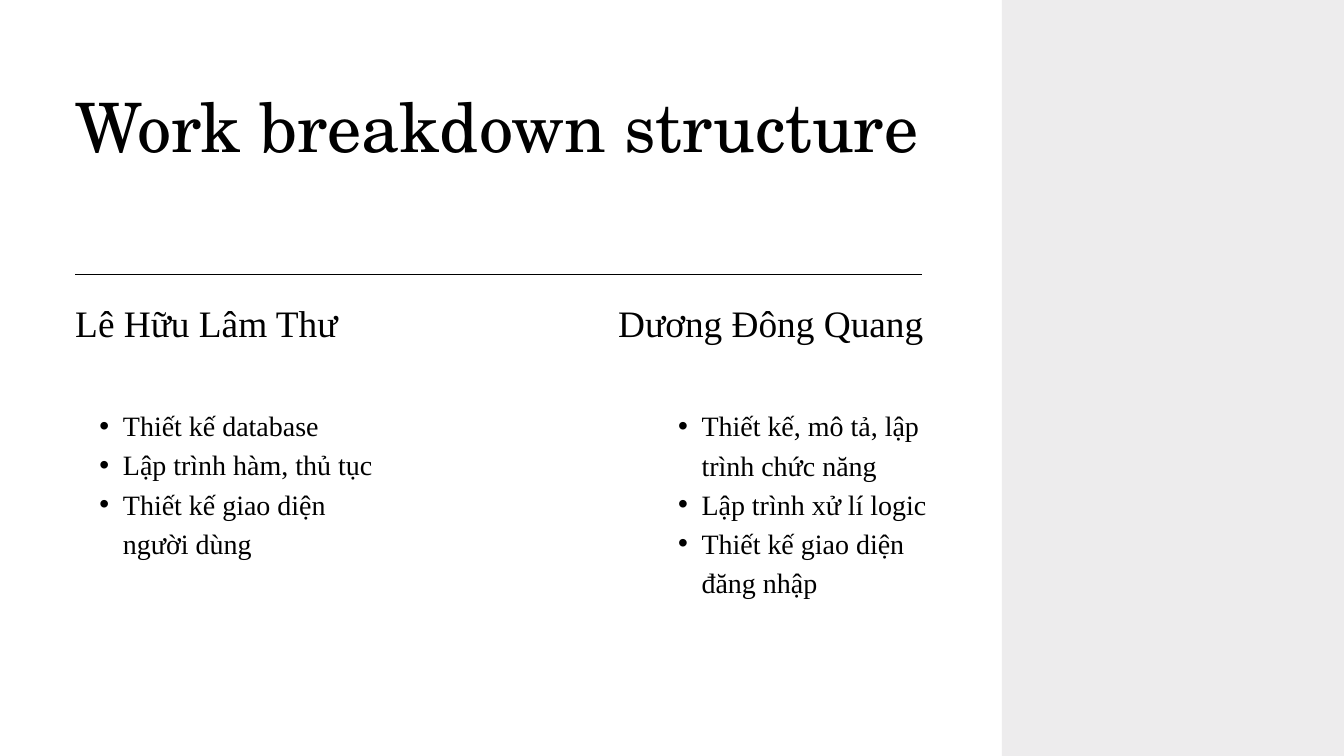
"""Build the work breakdown structure slide."""
from lxml.etree import SubElement
from pptx import Presentation
from pptx.dml.color import RGBColor
from pptx.enum.shapes import MSO_CONNECTOR as Connector, MSO_SHAPE as Shape
from pptx.enum.text import MSO_AUTO_SIZE as AutoSize
from pptx.oxml.ns import qn
from pptx.util import Inches, Pt

TITLE = "Work breakdown structure"
MEMBERS = [
    {
        "name": "Lê Hữu Lâm Thư",
        "name_box": (1.12, 4.63),
        "tasks_left": 1.12,
        "tasks_height": 2.34,
        "tasks": ["Thiết kế database", "Lập trình hàm, thủ tục", "Thiết kế giao diện người dùng"],
    },
    {
        "name": "Dương Đông Quang",
        "name_box": (9.2, 5.17),
        "tasks_left": 9.73,
        "tasks_height": 2.92,
        "tasks": [
            "Thiết kế, mô tả, lập trình chức năng",
            "Lập trình xử lí logic",
            "Thiết kế giao diện đăng nhập",
        ],
    },
]
COLORS = {"background": "FFFFFF", "text": "000000", "panel": "EDECED"}
TITLE_FONT, BODY_FONT = "TeX Gyre Schola", "Times New Roman"
SLIDE_WIDTH, SLIDE_HEIGHT = 20, 11.25
MARGIN, CONTENT_WIDTH, PANEL_WIDTH = 1.12, 12.6, 5.09
RULE_TOP, NAME_TOP, TASKS_TOP, TASKS_WIDTH = 4.09, 4.47, 6, 4.63


def color(name):
    return RGBColor.from_string(COLORS[name])


def add_bullet(para):
    para.level = 1
    properties = para._p.get_or_add_pPr()
    properties.set("marL", str(Inches(0.71)))
    properties.set("indent", str(Inches(-0.35)))
    SubElement(properties, qn("a:buFont"), typeface="Arial")
    SubElement(properties, qn("a:buChar"), char="•")


def add_text(page, place, lines, font, size, spacing, bullets=False):
    frame = page.shapes.add_textbox(*map(Inches, place)).text_frame
    frame.word_wrap = True
    frame.auto_size = AutoSize.SHAPE_TO_FIT_TEXT
    frame.margin_left = frame.margin_top = frame.margin_right = frame.margin_bottom = 0
    frame.text = "\n".join(lines)
    for para in frame.paragraphs:
        para.line_spacing = Pt(spacing)
        if bullets:
            add_bullet(para)
        para.font.name = font
        para.font.size = Pt(size)
        para.font.color.rgb = color("text")


def add_panel(page):
    place = (SLIDE_WIDTH - PANEL_WIDTH, 0, PANEL_WIDTH, SLIDE_HEIGHT)
    panel = page.shapes.add_shape(Shape.RECTANGLE, *map(Inches, place))
    panel.shadow.inherit = False
    panel.fill.solid()
    panel.fill.fore_color.rgb = color("panel")
    panel.line.fill.background()


def add_rule(page):
    ends = (MARGIN, RULE_TOP, MARGIN + CONTENT_WIDTH, RULE_TOP)
    rule = page.shapes.add_connector(Connector.STRAIGHT, *map(Inches, ends))
    rule.line.color.rgb = color("text")
    rule.line.width = Pt(0.75)
    SubElement(rule._element.spPr, qn("a:effectLst"))


def main():
    deck = Presentation()
    deck.slide_width, deck.slide_height = Inches(SLIDE_WIDTH), Inches(SLIDE_HEIGHT)
    page = deck.slides.add_slide(deck.slide_layouts[6])
    page.background.fill.solid()
    page.background.fill.fore_color.rgb = color("background")

    add_text(page, (MARGIN, 1.34, CONTENT_WIDTH, 1.15), [TITLE], TITLE_FONT, 73, 81)
    add_panel(page)
    add_rule(page)
    for member in MEMBERS:
        tasks_place = (member["tasks_left"], TASKS_TOP, TASKS_WIDTH, member["tasks_height"])
        add_text(page, tasks_place, member["tasks"], BODY_FONT, 30, 42, bullets=True)
        left, width = member["name_box"]
        add_text(page, (left, NAME_TOP, width, 0.75), [member["name"]], BODY_FONT, 40, 48)
    deck.save("out.pptx")


if __name__ == "__main__":
    main()
